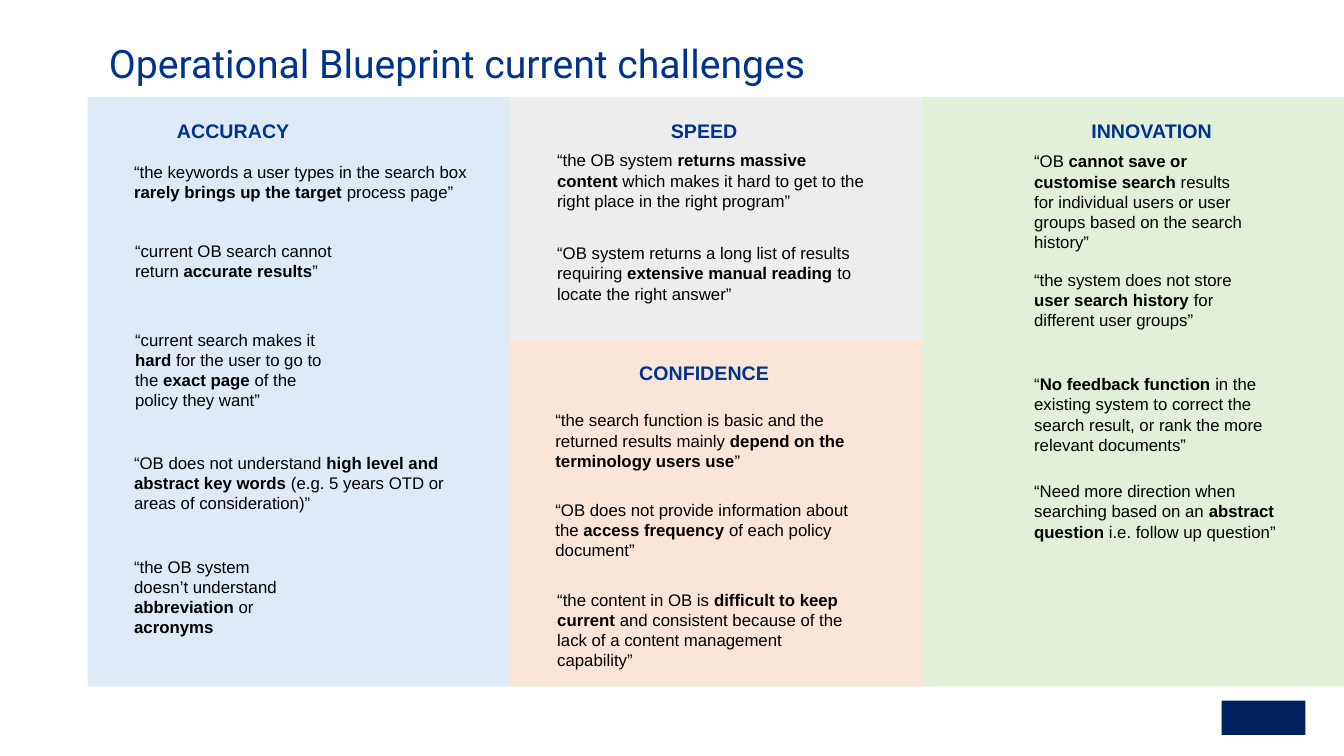
from pptx import Presentation
from pptx.dml.color import RGBColor
from pptx.enum.shapes import MSO_SHAPE
from pptx.enum.text import MSO_ANCHOR, PP_ALIGN
from pptx.util import Pt

BLUE = RGBColor(0x00, 0x33, 0x8D)
NAVY = RGBColor(0x00, 0x20, 0x60)
BLACK = RGBColor(0x00, 0x00, 0x00)
PALE_GREY = RGBColor(0xED, 0xED, 0xED)
PALE_ORANGE = RGBColor(0xFB, 0xE5, 0xD6)
PALE_GREEN = RGBColor(0xE2, 0xF0, 0xD9)
PALE_BLUE = RGBColor(0xDE, 0xEB, 0xF7)

# Content: panels from back to front; ** marks the bold words of a quote
# Each quote is (left, top, width, height, text)
TITLE = "Operational Blueprint current challenges"
PANELS = [
    {"heading": "SPEED", "heading_left": 453, "left": 360.7, "top": 69.1,
     "fill": PALE_GREY, "quotes": [
         (398, 107.3, 222, 71, "“the OB system **returns massive content** which makes it "
          "hard to get to the right place in the right program”"),
         (398, 173.5, 222, 48, "“OB system returns a long list of results requiring "
          "**extensive manual reading **to locate the right answer”")]},
    {"heading": "CONFIDENCE", "heading_left": 453, "left": 364.3, "top": 242.6,
     "fill": PALE_ORANGE, "quotes": [
         (396.7, 293, 223, 71, "“the search function is basic and the returned results "
          "mainly **depend on the terminology users use**”"),
         (396.7, 357, 212, 48, "“OB does not provide information about the "
          "**access frequency **of each policy document”"),
         (398, 421.2, 217, 114, "“the content in OB is **difficult to keep current **and "
          "consistent because of the lack of a content management capability”")]},
    {"heading": "INNOVATION", "heading_left": 772.6, "left": 658.8, "top": 69.1,
     "fill": PALE_GREEN, "quotes": [
         (738.7, 108, 153, 48, "“OB **cannot save or customise search **results for "
          "individual users or user groups based on the search history”"),
         (738.7, 192.3, 163, 63, "“the system does not store **user search history** for "
          "different user groups”"),
         (738.7, 267.1, 181, 48, "“**No feedback function **in the existing system to "
          "correct the search result, or rank the more relevant documents”"),
         (738.7, 343.5, 178, 48, "“Need more direction when searching based on an "
          "**abstract question **i.e. follow up question”")]},
    {"heading": "ACCURACY", "heading_left": 116.6, "left": 62.6, "top": 69.1,
     "fill": PALE_BLUE, "quotes": [
         (95.8, 115.2, 255, 37, "“the keywords a user types in the search box "
          "**rarely brings up the target** process page” "),
         (96.5, 172, 152, 48, "“current OB search cannot return **accurate results**”"),
         (96.5, 235.5, 135, 58, "“current search makes it **hard** for the user to go to "
          "the **exact page **of the policy they want”"),
         (95.8, 323.3, 235.5, 48, "“OB does not understand **high level and abstract key "
          "words **(e.g. 5 years OTD or areas of consideration)”"),
         (95.8, 397.5, 106, 63, "“the OB system doesn’t understand **abbreviation** or "
          "**acronyms **")]},
]
PANEL_WIDTH, PANEL_BOTTOM = 301.7, 490.3
HEADING_OFFSET, HEADING_WIDTH, HEADING_HEIGHT = 15.5, 100, 28

presentation = Presentation()
presentation.slide_width, presentation.slide_height = Pt(960), Pt(540)
slide = presentation.slides.add_slide(presentation.slide_layouts[5])


def add_block(left, top, width, height, fill):
    shape = slide.shapes.add_shape(
        MSO_SHAPE.RECTANGLE, Pt(left), Pt(top), Pt(width), Pt(height))
    shape.shadow.inherit = False
    shape.fill.solid()
    shape.fill.fore_color.rgb = fill
    shape.line.fill.background()


def add_text(left, top, width, height, text, size=12, color=BLACK, align=PP_ALIGN.LEFT):
    box = slide.shapes.add_textbox(Pt(left), Pt(top), Pt(width), Pt(height))
    frame = box.text_frame
    frame.word_wrap = True
    frame.margin_left = frame.margin_right = frame.margin_top = frame.margin_bottom = 0
    paragraph = frame.paragraphs[0]
    paragraph.alignment = align
    paragraph.space_after = Pt(9.8)
    paragraph.font.name, paragraph.font.size = "Arial", Pt(size)
    paragraph.font.color.rgb = color
    for index, part in enumerate(text.split("**")):
        if part:
            run = paragraph.add_run()
            run.text = part
            run.font.bold = index % 2 == 1


# Coloured panels
for panel in PANELS:
    add_block(panel["left"], panel["top"], PANEL_WIDTH,
              PANEL_BOTTOM - panel["top"], panel["fill"])

# Title
title = slide.shapes.title
title.left, title.top, title.width, title.height = Pt(70.6), Pt(28), Pt(828), Pt(52.6)
title.text_frame.text = TITLE
title.text_frame.vertical_anchor = MSO_ANCHOR.TOP
paragraph = title.text_frame.paragraphs[0]
paragraph.alignment = PP_ALIGN.LEFT
paragraph.line_spacing = 0.9
paragraph.font.name, paragraph.font.size = "Roboto", Pt(28)
paragraph.font.color.rgb = BLUE

# Headings and quotes
for panel in PANELS:
    add_text(panel["heading_left"], panel["top"] + HEADING_OFFSET, HEADING_WIDTH,
             HEADING_HEIGHT, f"**{panel['heading']}**", 14, BLUE, PP_ALIGN.CENTER)
    for quote in panel["quotes"]:
        add_text(*quote)

# Plain block in the footer corner
add_block(872.6, 500.4, 59.8, 24.5, NAVY)

presentation.save("out.pptx")
